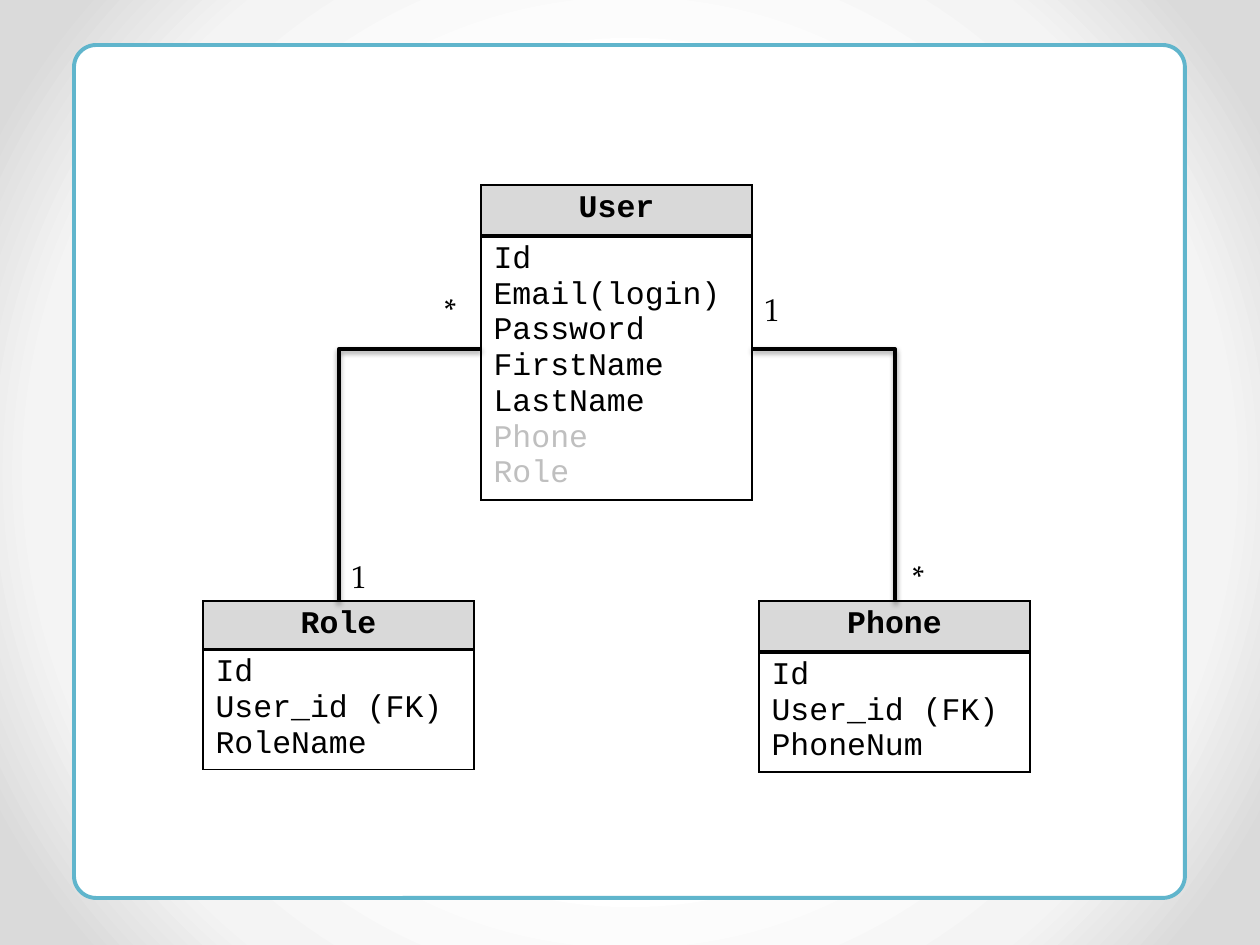
import pptx
import pptx.util
import pptx.dml.color
import pptx.enum.shapes
import pptx.enum.text
import pptx.oxml
import pptx.oxml.ns

PX = 914400 / 126
NAMESPACE = pptx.oxml.ns.nsdecls("a")


class Theme:
    black = "000000"
    white = "FFFFFF"
    header = "D9D9D9"
    muted = "BFBFBF"
    accent = "60B5CC"
    backdrop = ((50, "FFFFFF"), (76, "F4F4F4"), (92, "DADADA"))
    code_font = "Courier New"
    label_font = "TeX Gyre Pagella"
    size = 18
    thin, medium, thick = 1, 2, 2.25


TABLE_WIDTH = 271
LINE_HEIGHT = 36
CELL_PADDING = 12


def px(*lengths):
    return [round(length * PX) for length in lengths]


def rgb(colour):
    return pptx.dml.color.RGBColor.from_string(colour)


def style_text(para, font, colour, bold=False):
    for span in para.runs:
        span.font.name = font
        span.font.size = pptx.util.Pt(Theme.size)
        span.font.bold = bold
        span.font.color.rgb = rgb(colour)


def set_background(page):
    page.background.fill.solid()
    properties = page.element.find(".//" + pptx.oxml.ns.qn("p:bgPr"))
    stops = "".join(
        f'<a:gs pos="{position * 1000}"><a:srgbClr val="{colour}"/></a:gs>'
        for position, colour in Theme.backdrop)
    gradient = pptx.oxml.parse_xml(
        f'<a:gradFill {NAMESPACE} rotWithShape="1"><a:gsLst>{stops}</a:gsLst>'
        '<a:path path="circle"><a:fillToRect l="50000" t="50000" r="50000" b="50000"/>'
        '</a:path></a:gradFill>')
    properties.replace(properties[0], gradient)


def add_frame(page):
    frame = page.shapes.add_shape(
        pptx.enum.shapes.MSO_SHAPE.ROUNDED_RECTANGLE, *px(74, 45, 1111, 853))
    frame.adjustments[0] = 0.026
    frame.shadow.inherit = False
    frame.fill.solid()
    frame.fill.fore_color.rgb = rgb(Theme.white)
    frame.line.color.rgb = rgb(Theme.accent)
    frame.line.width = pptx.util.Pt(Theme.thick)


def set_cell(cell, fill, top, bottom, alpha=None):
    """Fill the cell and draw its four borders in front of the fill element."""
    cell.fill.solid()
    cell.fill.fore_color.rgb = rgb(fill)
    properties = cell._tc.get_or_add_tcPr()
    if alpha is not None:
        colour = properties.find(".//" + pptx.oxml.ns.qn("a:srgbClr"))
        colour.append(pptx.oxml.parse_xml(f'<a:alpha {NAMESPACE} val="{alpha * 1000}"/>'))
    borders = {"L": Theme.thin, "R": Theme.thin, "T": top, "B": bottom}
    for index, (side, width) in enumerate(borders.items()):
        properties.insert(index, pptx.oxml.parse_xml(
            f'<a:ln{side} {NAMESPACE} w="{pptx.util.Pt(width)}"><a:solidFill>'
            f'<a:srgbClr val="{Theme.black}"/></a:solidFill></a:ln{side}>'))


def add_entity(page, left, top, name, fields, muted=(), header_height=51):
    names = [*fields, *muted]
    body_height = LINE_HEIGHT * len(names) + CELL_PADDING
    table = page.shapes.add_table(
        2, 1, *px(left, top, TABLE_WIDTH, header_height + body_height)).table
    table.first_row = table.horz_banding = False
    table.rows[0].height, table.rows[1].height = px(header_height, body_height)

    header, body = table.cell(0, 0), table.cell(1, 0)
    set_cell(header, Theme.header, Theme.thin, Theme.medium)
    header.text_frame.text = name
    title = header.text_frame.paragraphs[0]
    title.alignment = pptx.enum.text.PP_ALIGN.CENTER
    style_text(title, Theme.code_font, Theme.black, bold=True)

    set_cell(body, Theme.white, Theme.medium, Theme.thin, alpha=20)
    body.text_frame.text = "\n".join(names)
    for field, para in zip(names, body.text_frame.paragraphs):
        style_text(para, Theme.code_font, Theme.muted if field in muted else Theme.black)


def add_relation(page, start, end):
    """Run sideways from start, then down to end."""
    relation = page.shapes.add_connector(
        pptx.enum.shapes.MSO_CONNECTOR.ELBOW, *px(*start, *end))
    relation.line.color.rgb = rgb(Theme.black)
    relation.line.width = pptx.util.Pt(Theme.thick)
    properties = relation.element.spPr
    properties.find(pptx.oxml.ns.qn("a:prstGeom")).set("prst", "bentConnector2")
    properties.append(pptx.oxml.parse_xml(
        f'<a:effectLst {NAMESPACE}><a:outerShdw blurRad="{pptx.util.Pt(3.1)}" '
        f'dist="{pptx.util.Pt(1.6)}" dir="5400000" rotWithShape="0">'
        f'<a:srgbClr val="{Theme.black}"><a:alpha val="38000"/></a:srgbClr>'
        '</a:outerShdw></a:effectLst>'))


def add_multiplicity(page, left, top, text):
    box = page.shapes.add_textbox(*px(left, top, 129, 50))
    box.text_frame.word_wrap = True
    box.text_frame.auto_size = pptx.enum.text.MSO_AUTO_SIZE.SHAPE_TO_FIT_TEXT
    box.text_frame.text = text
    style_text(box.text_frame.paragraphs[0], Theme.label_font, Theme.black)


def main():
    deck = pptx.Presentation()
    deck.slide_width, deck.slide_height = px(1260, 945)
    page = deck.slides.add_slide(deck.slide_layouts[6])
    set_background(page)
    add_frame(page)

    # Entities: the user above, the two dependent tables on either side below
    user_left, user_top, lower_top = 481, 185, 601
    user_right = user_left + TABLE_WIDTH
    role_left, phone_left = 203, 759
    add_entity(page, user_left, user_top, "User",
               ["Id", "Email(login)", "Password", "FirstName", "LastName"],
               muted=["Phone", "Role"])
    add_entity(page, phone_left, lower_top, "Phone", ["Id", "User_id (FK)", "PhoneNum"])
    add_entity(page, role_left, lower_top, "Role", ["Id", "User_id (FK)", "RoleName"],
               header_height=48)

    # Relations, from the sides of the user to the tops of the others
    relation_top = 349
    role_middle = role_left + TABLE_WIDTH // 2 + 1
    phone_middle = phone_left + TABLE_WIDTH // 2 + 1
    add_relation(page, (user_left, relation_top), (role_middle, lower_top))
    add_relation(page, (user_right, relation_top), (phone_middle, lower_top))

    # Multiplicities
    upper_label, lower_label = 284, 551
    add_multiplicity(page, 432, upper_label, "*")
    add_multiplicity(page, 900, lower_label, "*")
    add_multiplicity(page, user_right, upper_label, "1")
    add_multiplicity(page, role_middle, lower_label, "1")

    deck.save("out.pptx")


if __name__ == "__main__":
    main()
